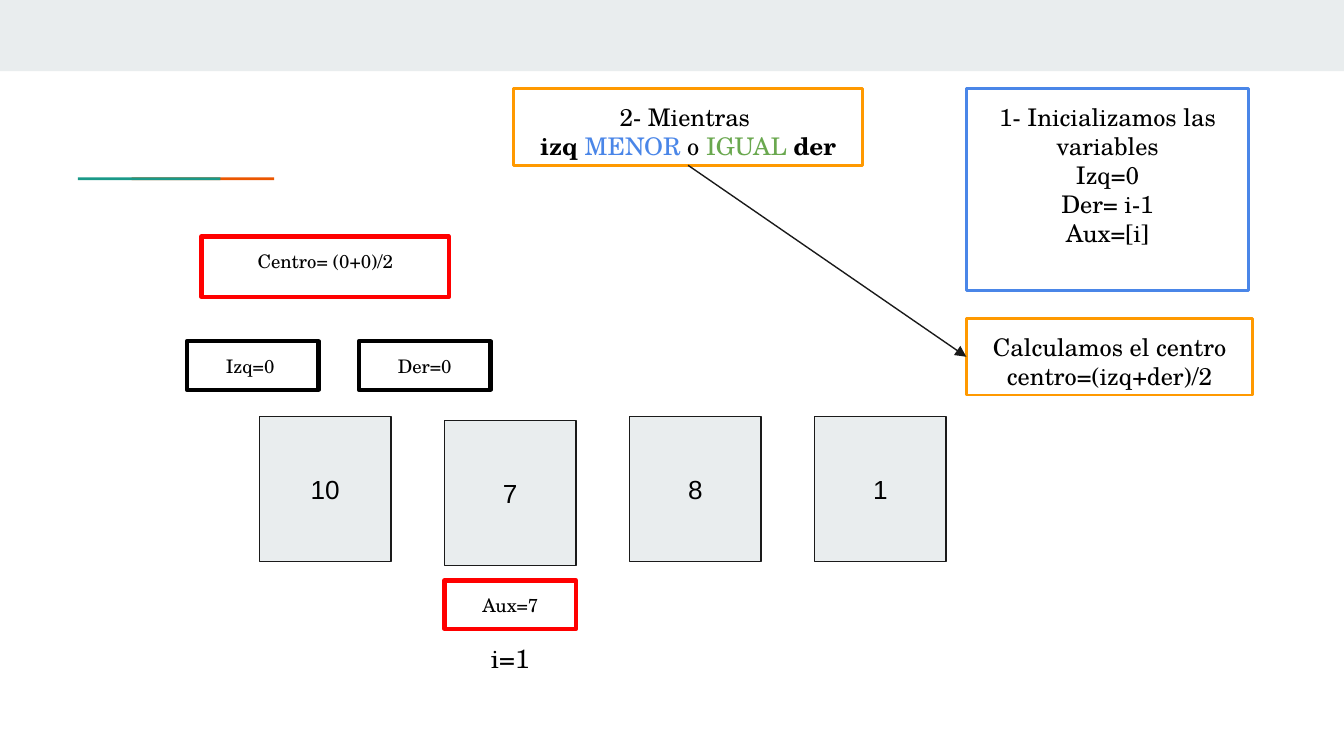
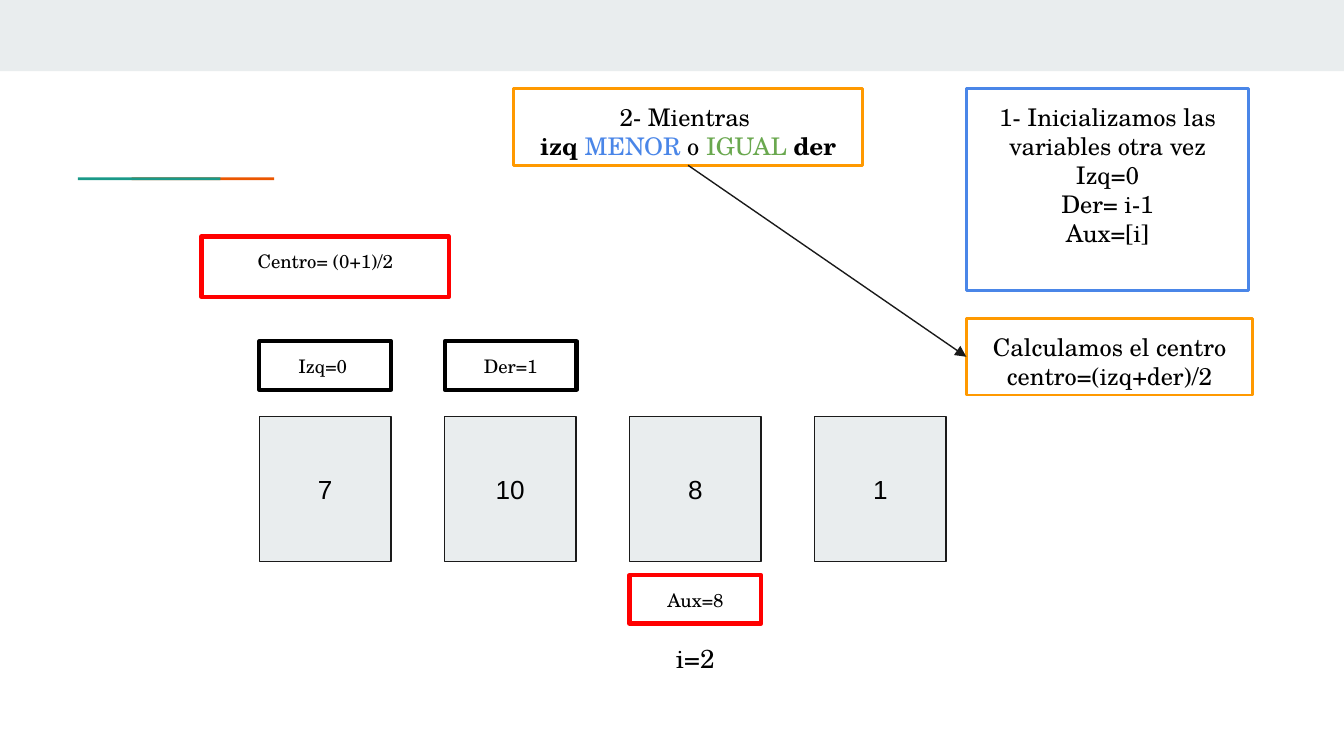
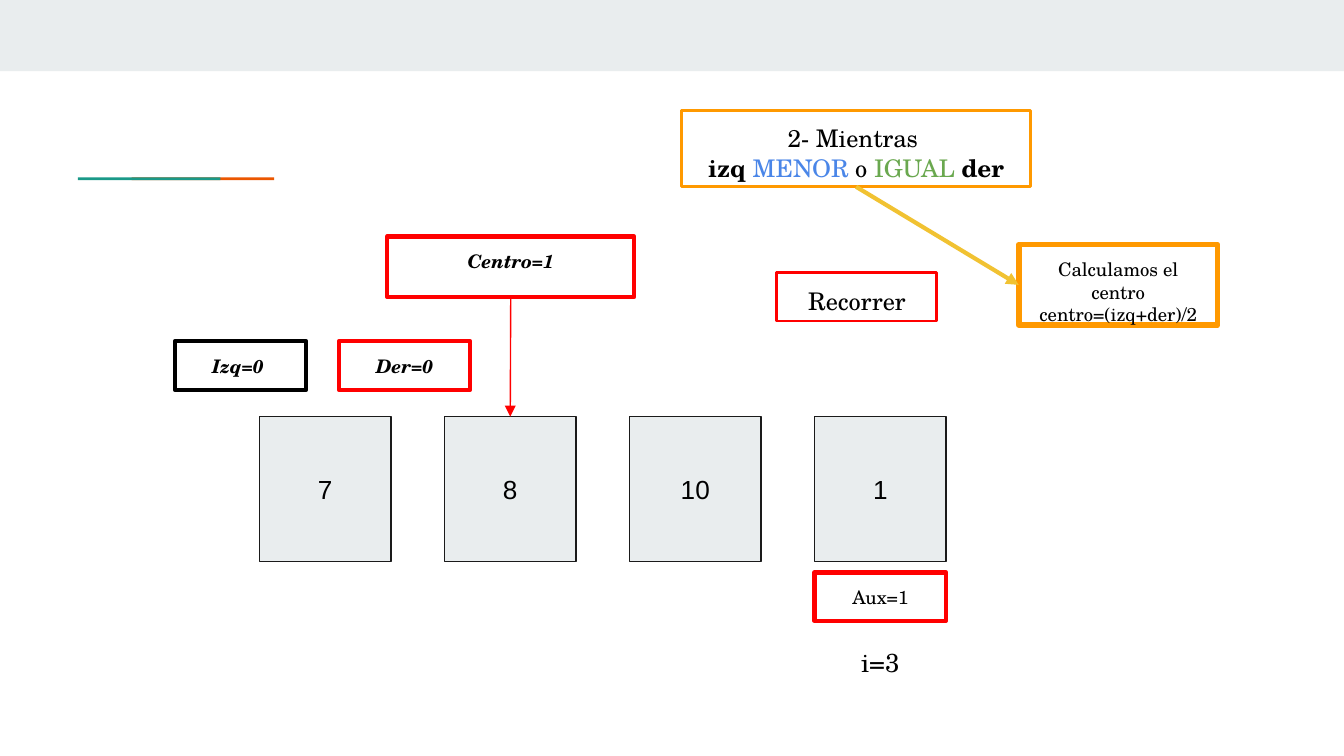
import pptx
import pptx.util
import pptx.dml.color
import pptx.enum.shapes
import pptx.enum.text
import pptx.oxml.ns
import lxml.etree

Inches = pptx.util.Inches
Pt = pptx.util.Pt
rgb = pptx.dml.color.RGBColor.from_string

SERIF = "TeX Gyre Schola"
BLACK, INK, RED, GREY = "000000", "1A1A1A", "FF0000", "E9EDEE"
ORANGE, YELLOW, BLUE, GREEN = "FF9900", "F1C232", "4A86E8", "6AA84F"
TEAL, RUST = "1A9988", "EB5600"

CELL_W, CELL_H, CELL_TOP = 0.98, 1.08, 3.1
TAG_H, TAG_TOP = 0.36, 2.54
FIRST_CELL, LAST_CELL = 1.93, 6.06
PITCH = (LAST_CELL - FIRST_CELL) / 3

CENTER_STEP = ["Calculamos el centro", "centro=(izq+der)/2"]
WHILE_STEP = [[("2- Mientras \n", BLACK, False), ("izq ", BLACK, True),
               ("MENOR", BLUE, False), (" o ", BLACK, False),
               ("IGUAL ", GREEN, False), ("der", BLACK, True)]]


def add_box(s, text, x, y, w, h, size=10, font=SERIF, bold=False, italic=False,
            fill=None, line=None, width=2.25, middle=False):
    """Add a box; text is a string or a list of paragraphs, each a string or (text, colour, bold) runs."""
    place = [Inches(v) for v in (x, y, w, h)]
    if fill or line:
        sp = s.shapes.add_shape(pptx.enum.shapes.MSO_SHAPE.RECTANGLE, *place)
        sp.shadow.inherit = False
    else:
        sp = s.shapes.add_textbox(*place)
    if fill:
        sp.fill.solid()
        sp.fill.fore_color.rgb = rgb(fill)
    else:
        sp.fill.background()
    if line:
        sp.line.color.rgb = rgb(line)
        sp.line.width = Pt(width)
    else:
        sp.line.fill.background()
    if not text:
        return sp

    tf = sp.text_frame
    tf.word_wrap = True
    tf.margin_left = tf.margin_right = tf.margin_top = tf.margin_bottom = Inches(0.1)
    anchor = pptx.enum.text.MSO_ANCHOR
    tf.vertical_anchor = anchor.MIDDLE if middle else anchor.TOP
    for i, runs in enumerate([text] if isinstance(text, str) else text):
        p = tf.add_paragraph() if i else tf.paragraphs[0]
        p.alignment = pptx.enum.text.PP_ALIGN.CENTER
        if isinstance(runs, str):
            runs = [(runs, BLACK, bold)]
        for words, color, strong in runs:
            for j, part in enumerate(words.split("\n")):
                if j:
                    p.add_line_break()
                if part:
                    r = p.add_run()
                    r.text = part
                    r.font.name = font
                    r.font.size = Pt(size)
                    r.font.bold = strong
                    r.font.italic = italic
                    r.font.color.rgb = rgb(color)
    return sp


def add_arrow(s, start, start_side, end, end_side, color=INK, width=0.75):
    c = s.shapes.add_connector(pptx.enum.shapes.MSO_CONNECTOR.STRAIGHT, 0, 0, 0, 0)
    c.begin_connect(start, start_side)
    c.end_connect(end, end_side)
    c.line.color.rgb = rgb(color)
    c.line.width = Pt(width)
    qn = pptx.oxml.ns.qn
    lxml.etree.SubElement(c.line._get_or_add_ln(), qn("a:tailEnd"), type="triangle")
    lxml.etree.SubElement(c._element.spPr, qn("a:effectLst"))


# drop: how far the current cell hangs below the row
steps = [
    dict(values=[10, 7, 8, 1], i=1, drop=0.03, izq_x=1.39, der_x=2.67, der=0,
         der_line=BLACK, centro="Centro= (0+0)/2", centro_x=1.5, aux_y=4.32, i_y=4.68,
         emphasis=False, while_at=(3.82, 0.66), init="1- Inicializamos las variables"),
    dict(values=[7, 10, 8, 1], i=2, drop=0, izq_x=1.93, der_x=3.31, der=1,
         der_line=BLACK, centro="Centro= (0+1)/2", centro_x=1.5, aux_y=4.28, i_y=4.68,
         emphasis=False, while_at=(3.82, 0.66),
         init="1- Inicializamos las variables otra vez"),
    dict(values=[7, 8, 10, 1], i=3, drop=0, izq_x=1.3, der_x=2.52, der=0,
         der_line=RED, centro="Centro=1", centro_x=2.88, aux_y=4.26, i_y=4.71,
         emphasis=True, while_at=(5.07, 0.82), init=None),
]

prs = pptx.Presentation()
prs.slide_width = Inches(10)
prs.slide_height = Inches(10 * 9 / 16)

for step in steps:
    s = prs.slides.add_slide(prs.slide_layouts[6])

    # Top band and two-colour rule
    add_box(s, "", 0, 0, 10, 0.53, fill=GREY)
    add_box(s, "", 0.98, 1.32, 1.06, 0.02, fill=RUST)
    add_box(s, "", 0.58, 1.32, 1.06, 0.02, fill=TEAL)

    # Array
    cells = []
    for n, value in enumerate(step["values"]):
        y = CELL_TOP + (step["drop"] if n == step["i"] else 0)
        cells.append(add_box(s, str(value), FIRST_CELL + n * PITCH, y, CELL_W, CELL_H,
                             size=14, font="Arial", fill=GREY, line=INK, width=0.75,
                             middle=True))

    # Variables
    style = dict(bold=step["emphasis"], italic=step["emphasis"])
    add_box(s, "Izq=0 ", step["izq_x"], TAG_TOP, CELL_W, TAG_H, line=BLACK, **style)
    add_box(s, f"Der={step['der']}", step["der_x"], TAG_TOP, CELL_W, TAG_H,
            line=step["der_line"], **style)
    centro = add_box(s, step["centro"], step["centro_x"], 1.76, 1.84, 0.45, line=RED, **style)
    current_x = FIRST_CELL + step["i"] * PITCH
    add_box(s, f"Aux={step['values'][step['i']]}", current_x, step["aux_y"], CELL_W, TAG_H,
            line=RED)
    add_box(s, f"i={step['i']}", current_x + 0.23, step["i_y"], 0.52, TAG_H, size=14)

    # Algorithm
    loop = add_box(s, WHILE_STEP, *step["while_at"], 2.6, 0.57, size=13, line=ORANGE, width=1.5)
    if step["init"]:
        add_box(s, [step["init"], "Izq=0", "Der= i-1\nAux=[i]"], 7.19, 0.66, 2.1, 1.5,
                size=13, line=BLUE, width=1.5)
        calc = add_box(s, CENTER_STEP, 7.19, 2.37, 2.13, 0.57, size=13, line=ORANGE, width=1.5)
        add_arrow(s, loop, 2, calc, 1)
    else:
        calc = add_box(s, CENTER_STEP, 7.58, 1.82, 1.48, 0.6, line=ORANGE, width=3)
        add_box(s, "Recorrer", 5.78, 2.03, 1.19, TAG_H, size=13, line=RED, width=1.5)
        add_arrow(s, loop, 2, calc, 1, color=YELLOW, width=2.25)
        add_arrow(s, centro, 2, cells[1], 0, color=RED)

prs.save("out.pptx")
